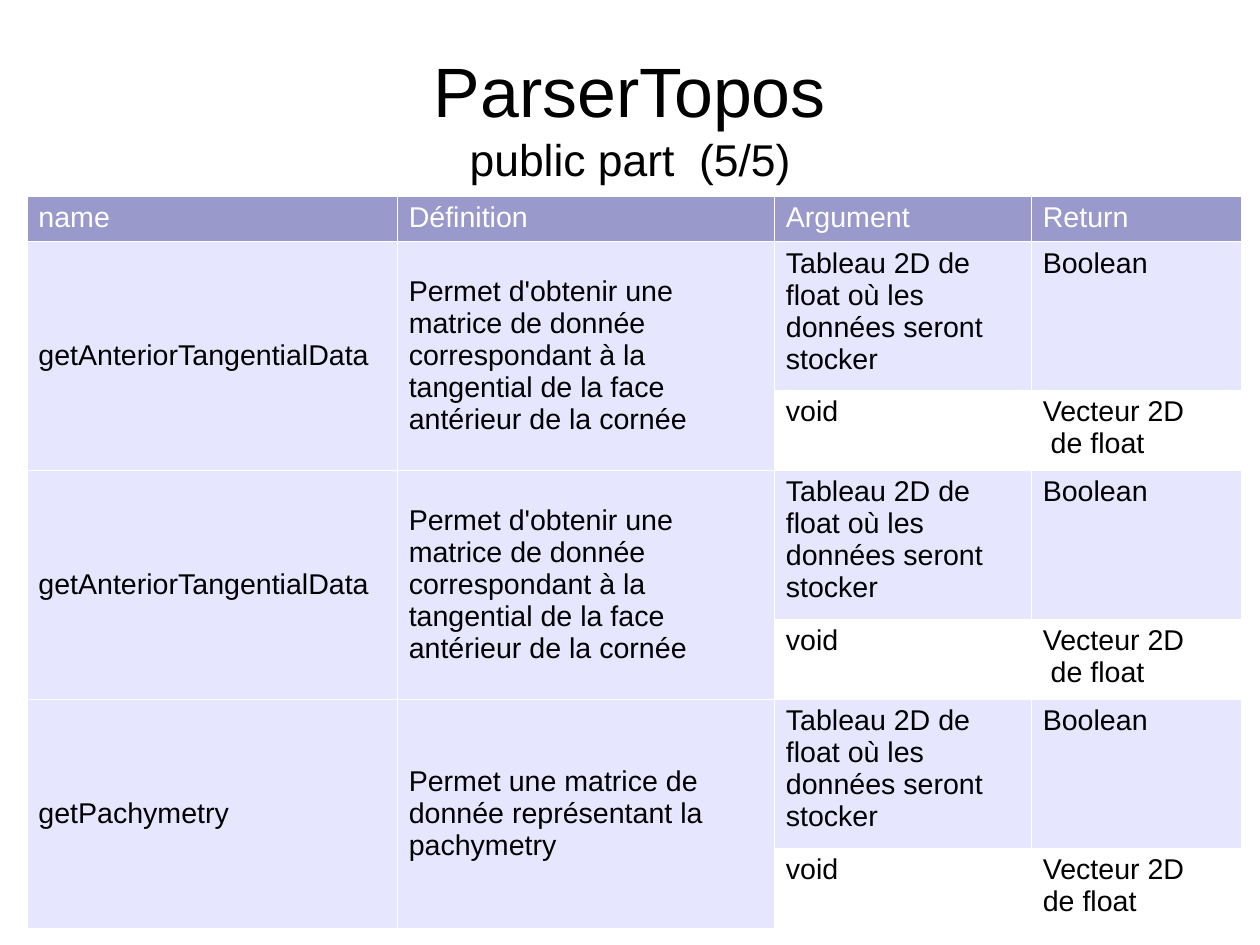
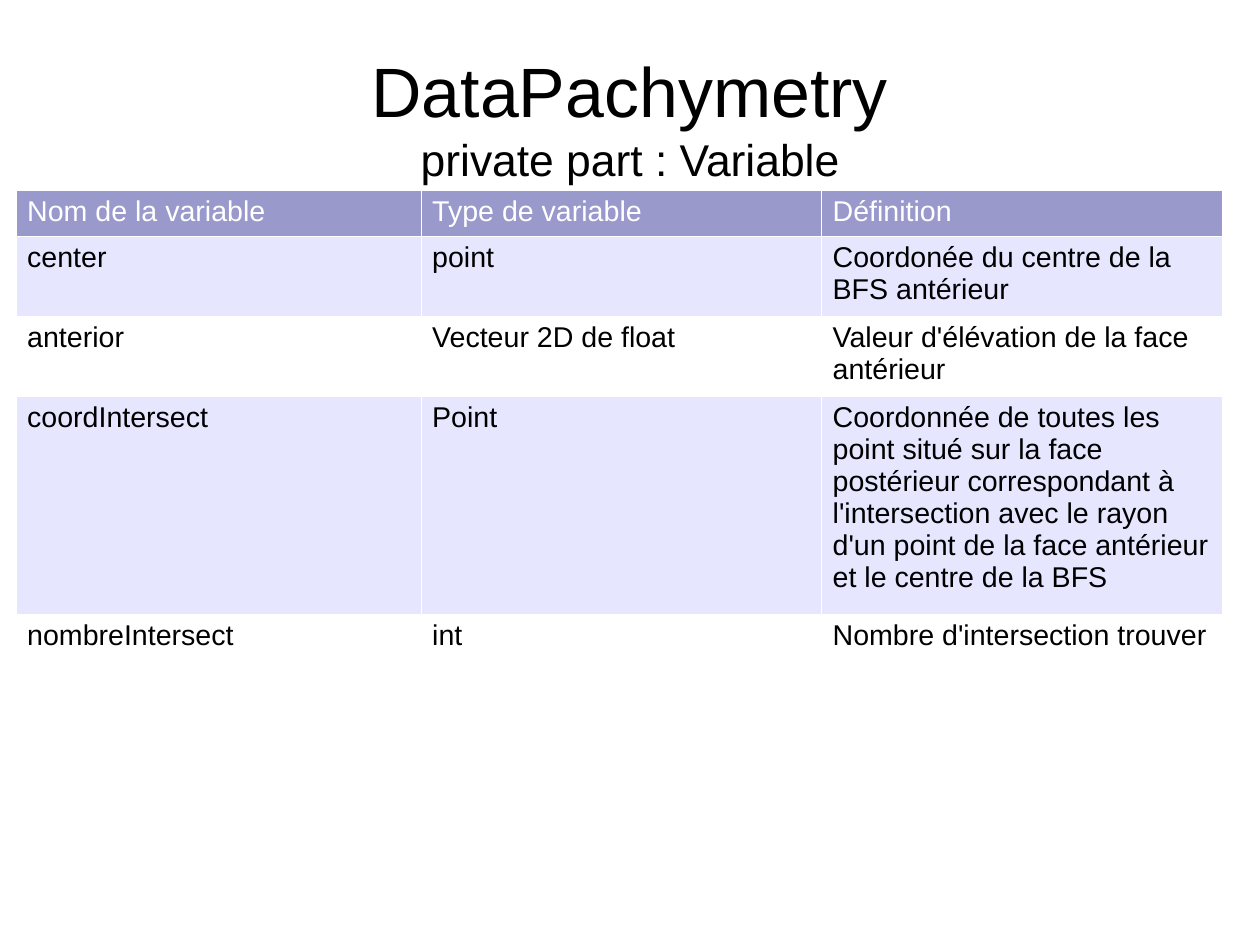
from lxml.etree import SubElement
from pptx import Presentation
from pptx.dml.color import RGBColor
from pptx.enum.text import MSO_ANCHOR, PP_ALIGN
from pptx.oxml.ns import qn
from pptx.util import Cm, Pt

COLORS = {"header": "9999CC", "band": "E6E6FF", "plain": "FFFFFF",
          "border": "FFFFFF", "light": "FFFFFF", "dark": "000000"}
FONT = "Arial"
TITLE_BOX = (1.4, 0.84, 25.2, 3.5)
BORDER_WIDTH = 0.06

MATRIX_ROW = "Tableau 2D de float où les données seront stocker"
TANGENTIAL = ("getAnteriorTangentialData",
              "Permet d'obtenir une matrice de donnée correspondant à la "
              "tangential de la face antérieur de la cornée",
              "Vecteur 2D\n de float")
METHODS = [
    TANGENTIAL,
    TANGENTIAL,
    ("getPachymetry",
     "Permet une matrice de donnée représentant la pachymetry",
     "Vecteur 2D\nde float"),
]
VARIABLES = [
    ("Nom de la variable", "Type de variable", "Définition"),
    ("center", "point", "Coordonée du centre de la BFS antérieur"),
    ("anterior", "Vecteur 2D de float", "Valeur d'élévation de la face antérieur"),
    ("coordIntersect", "Point",
     "Coordonnée de toutes les point situé sur la face postérieur correspondant "
     "à l'intersection avec le rayon d'un point de la face antérieur et le "
     "centre de la BFS"),
    ("nombreIntersect", "int", "Nombre d'intersection trouver"),
]


def add_run(paragraph, text, size, color):
    """Add one formatted run to a paragraph."""
    run = paragraph.add_run()
    run.text = text
    run.font.name = FONT
    run.font.size = Pt(size)
    run.font.color.rgb = RGBColor.from_string(COLORS[color])


def add_title(slide, box, title, subtitle):
    """Place a centred title with a smaller second line in the box."""
    shape = slide.shapes.add_textbox(*map(Cm, box))
    frame = shape.text_frame
    frame.word_wrap = True
    frame.vertical_anchor = MSO_ANCHOR.MIDDLE
    frame.margin_left = frame.margin_right = 0
    frame.margin_top = frame.margin_bottom = 0
    paragraph = frame.paragraphs[0]
    paragraph.alignment = PP_ALIGN.CENTER
    add_run(paragraph, title, 44, "dark")
    paragraph.add_line_break()
    add_run(paragraph, subtitle, 28, "dark")


def add_borders(cell):
    """Draw a thin line on the four sides of a cell."""
    properties = cell._tc.get_or_add_tcPr()
    for side in ("a:lnL", "a:lnR", "a:lnT", "a:lnB"):
        line = SubElement(properties, qn(side), w=str(Pt(BORDER_WIDTH)))
        fill = SubElement(line, qn("a:solidFill"))
        SubElement(fill, qn("a:srgbClr"), val=COLORS["border"])


def fill_cell(cell, text, fill, color):
    """Give a cell its borders, fill and text, one paragraph a line."""
    add_borders(cell)
    cell.fill.solid()
    cell.fill.fore_color.rgb = RGBColor.from_string(COLORS[fill])
    for index, line in enumerate(text.split("\n") if text else []):
        frame = cell.text_frame
        paragraph = frame.add_paragraph() if index else frame.paragraphs[0]
        add_run(paragraph, line, 18, color)


def add_banded_table(slide, left, top, widths, heights, rows):
    """Place a table with a header row and alternating bands."""
    frame = slide.shapes.add_table(
        len(rows), len(widths), Cm(left), Cm(top),
        Cm(sum(widths)), Cm(sum(heights)))
    table = frame.table
    for column, width in zip(table.columns, widths):
        column.width = Cm(width)
    for index, (height, texts) in enumerate(zip(heights, rows)):
        table.rows[index].height = Cm(height)
        band = "band" if index % 2 else "plain"
        fill, color = (band, "dark") if index else ("header", "light")
        for column, text in enumerate(texts):
            fill_cell(table.cell(index, column), text, fill, color)
    return table


def build_methods_slide(slide):
    """Build the slide of public methods, two overloads for each."""
    add_title(slide, TITLE_BOX, "ParserTopos", "public part  (5/5)")
    rows = [("name", "Définition", "Argument", "Return")]
    for name, definition, vector in METHODS:
        rows.append((name, definition, MATRIX_ROW, "Boolean"))
        rows.append(("", "", "void", vector))
    heights = [1] + [3.3, 1.78] * len(METHODS)
    table = add_banded_table(slide, 0.6, 4.35, [8.23, 8.38, 5.71, 4.66],
                             heights, rows)
    for top in range(1, len(rows), 2):
        for column in (0, 1):
            cell = table.cell(top, column)
            cell.merge(table.cell(top + 1, column))
            cell.vertical_anchor = MSO_ANCHOR.MIDDLE


def build_variables_slide(slide):
    """Build the slide of private variables."""
    add_title(slide, TITLE_BOX, "DataPachymetry", "private part : Variable")
    add_banded_table(slide, 0.35, 4.23, [9, 8.9, 8.9],
                     [1, 1.78, 1.78, 4.83, 1], VARIABLES)


def main():
    """Build and save the presentation."""
    presentation = Presentation()
    presentation.slide_width = Cm(28)
    presentation.slide_height = Cm(21)
    blank = presentation.slide_layouts[6]
    for build in (build_methods_slide, build_variables_slide):
        build(presentation.slides.add_slide(blank))
    presentation.save("out.pptx")


if __name__ == "__main__":
    main()
